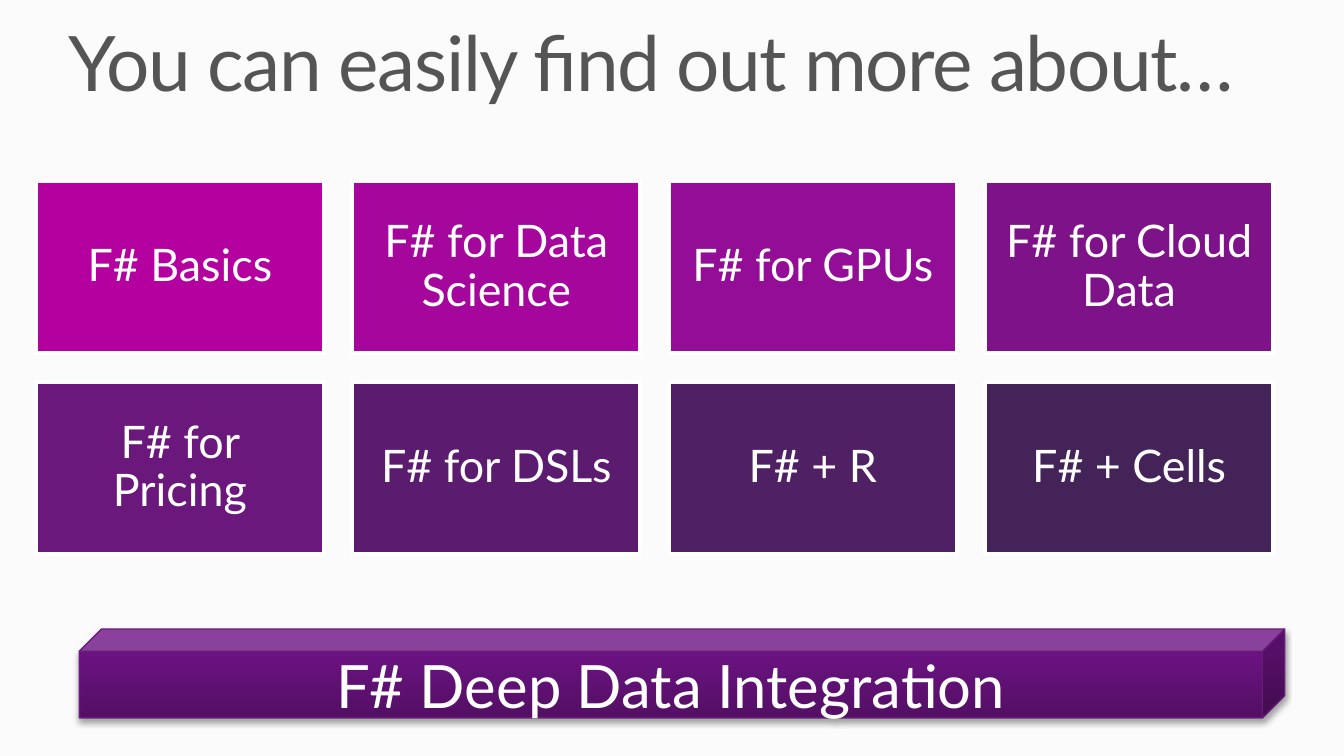
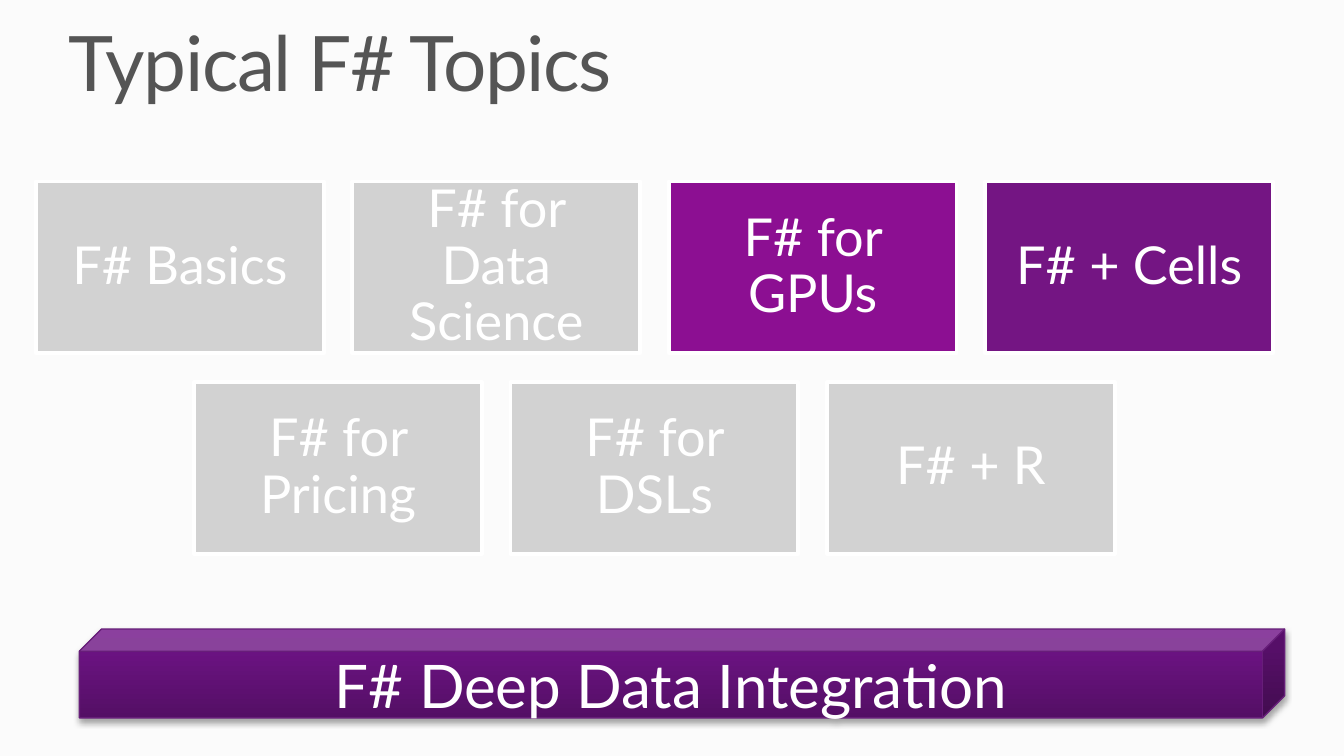
"""Build two slides of F# topic tiles above a data integration bar."""
from lxml import etree
from pptx import Presentation
from pptx.dml.color import RGBColor
from pptx.enum.shapes import MSO_SHAPE
from pptx.enum.text import MSO_ANCHOR, MSO_AUTO_SIZE, PP_ALIGN
from pptx.oxml.ns import qn
from pptx.util import Cm, Pt

RECT, CUBE = MSO_SHAPE.RECTANGLE, MSO_SHAPE.CUBE
TOP, MIDDLE = MSO_ANCHOR.TOP, MSO_ANCHOR.MIDDLE
LEFT, CENTER = PP_ALIGN.LEFT, PP_ALIGN.CENTER
GROW = MSO_AUTO_SIZE.SHAPE_TO_FIT_TEXT

FONT = "Lato"
PAPER = RGBColor(0xFB, 0xFB, 0xFB)
WHITE = RGBColor(0xFF, 0xFF, 0xFF)
TITLE_GRAY = RGBColor(0x55, 0x55, 0x55)
MUTED = RGBColor(0xD2, 0xD2, 0xD2)
MAGENTA = RGBColor(0xB4, 0x00, 0x9E)
FUCHSIA = RGBColor(0xA5, 0x07, 0x9D)
ORCHID = RGBColor(0x94, 0x0D, 0x97)
VIOLET = RGBColor(0x7E, 0x13, 0x89)
PURPLE = RGBColor(0x6B, 0x18, 0x7C)
PLUM = RGBColor(0x5B, 0x1C, 0x70)
GRAPE = RGBColor(0x4F, 0x20, 0x64)
INDIGO = RGBColor(0x44, 0x23, 0x59)
ACTIVE_ORCHID = RGBColor(0x8C, 0x0F, 0x92)
ACTIVE_VIOLET = RGBColor(0x74, 0x15, 0x83)
BAR_EDGE = RGBColor(0x67, 0x1E, 0x79)
BAR_STOPS = [
    (0, RGBColor(0x54, 0x0F, 0x65)),
    (80, RGBColor(0x6C, 0x13, 0x83)),
    (100, RGBColor(0x6E, 0x11, 0x86)),
]
SHADOW = RGBColor(0, 0, 0)

BAR_TEXT = "F# Deep Data Integration"
SLIDES = [
    {
        "title": "You can easily find out more about…",
        "tile_size": 24, "tile_inset": 0.25, "bar_size": 32,
        "rows": [
            [("F# Basics", MAGENTA), ("F# for Data Science", FUCHSIA),
             ("F# for GPUs", ORCHID), ("F# for Cloud Data", VIOLET)],
            [("F# for Pricing", PURPLE), ("F# for DSLs", PLUM),
             ("F# + R", GRAPE), ("F# + Cells", INDIGO)],
        ],
    },
    {
        "title": "Typical F# Topics",
        "tile_size": 28, "tile_inset": 0.3, "bar_size": 32.2,
        "rows": [
            [("F# Basics", MUTED), ("F# for Data Science", MUTED),
             ("F# for GPUs", ACTIVE_ORCHID), ("F# + Cells", ACTIVE_VIOLET)],
            [("F# for Pricing", MUTED), ("F# for DSLs", MUTED),
             ("F# + R", MUTED)],
        ],
    },
]

TILE_W, TILE_H = 5.44, 3.25
PITCH_X, PITCH_Y = 5.98, 3.79
GRID_CENTER, GRID_TOP = 12.37, 3.43


def write(s, text, size, color, align, anchor, inset_x, inset_y, spacing=0.9):
    """Put one styled line of text into a shape."""
    tf = s.text_frame
    tf.word_wrap = True
    tf.vertical_anchor = anchor
    tf.margin_left = tf.margin_right = Cm(inset_x)
    tf.margin_top = tf.margin_bottom = Cm(inset_y)
    p = tf.paragraphs[0]
    p.alignment, p.line_spacing = align, spacing
    r = p.add_run()
    r.text = text
    r.font.name, r.font.size = FONT, Pt(size)
    r.font.color.rgb = color
    return r


def add_title(slide, text):
    """Add the slide title."""
    s = slide.shapes.add_textbox(Cm(1.3), Cm(0.48), Cm(22.8), Cm(1.58))
    r = write(s, text, 41, TITLE_GRAY, LEFT, TOP, 0, 0)
    r.font._element.set("spc", "-80")
    s.text_frame.auto_size = GROW


def add_tiles(slide, rows, size, inset):
    """Add rows of tiles, each row centred on the grid."""
    for i, row in enumerate(rows):
        left = GRID_CENTER - ((len(row) - 1) * PITCH_X + TILE_W) / 2
        for j, (text, color) in enumerate(row):
            s = slide.shapes.add_shape(
                RECT, Cm(left + j * PITCH_X), Cm(GRID_TOP + i * PITCH_Y),
                Cm(TILE_W), Cm(TILE_H))
            s.shadow.inherit = False
            s.fill.solid()
            s.fill.fore_color.rgb = color
            s.line.color.rgb = WHITE
            s.line.width = Pt(2)
            write(s, text, size, WHITE, CENTER, MIDDLE, inset, inset)


def add_color(parent, color, alpha=None):
    """Append an RGB colour element, optionally with opacity in percent."""
    c = etree.SubElement(parent, qn("a:srgbClr"), val=str(color))
    if alpha is not None:
        etree.SubElement(c, qn("a:alpha"), val=str(alpha * 1000))


def add_bar(slide, size):
    """Add the gradient block with its drop shadow."""
    s = slide.shapes.add_shape(CUBE, Cm(1.5), Cm(11.89), Cm(22.78), Cm(1.68))
    s.fill.gradient()
    s.fill.gradient_angle = 90
    s.line.color.rgb = BAR_EDGE
    s.line.width = Pt(0.75)
    s.shadow.inherit = False
    props = s._element.spPr
    stops = props.find(".//" + qn("a:gsLst"))
    stops.clear()
    for pos, color in BAR_STOPS:
        add_color(etree.SubElement(stops, qn("a:gs"), pos=str(pos * 1000)), color)
    shadow = etree.SubElement(
        props.find(qn("a:effectLst")), qn("a:outerShdw"),
        blurRad=str(Pt(3.1)), dist=str(Pt(1.8)), dir="5400000", rotWithShape="0")
    add_color(shadow, SHADOW, 35)
    write(s, BAR_TEXT, size, WHITE, CENTER, MIDDLE, 0.25, 0.13, 1.0)


def main():
    """Build and save the presentation."""
    prs = Presentation()
    prs.slide_width, prs.slide_height = Cm(25.4), Cm(14.29)
    for content in SLIDES:
        slide = prs.slides.add_slide(prs.slide_layouts[6])
        slide.background.fill.solid()
        slide.background.fill.fore_color.rgb = PAPER
        add_tiles(slide, content["rows"], content["tile_size"], content["tile_inset"])
        add_title(slide, content["title"])
        add_bar(slide, content["bar_size"])
    prs.save("out.pptx")


if __name__ == "__main__":
    main()
